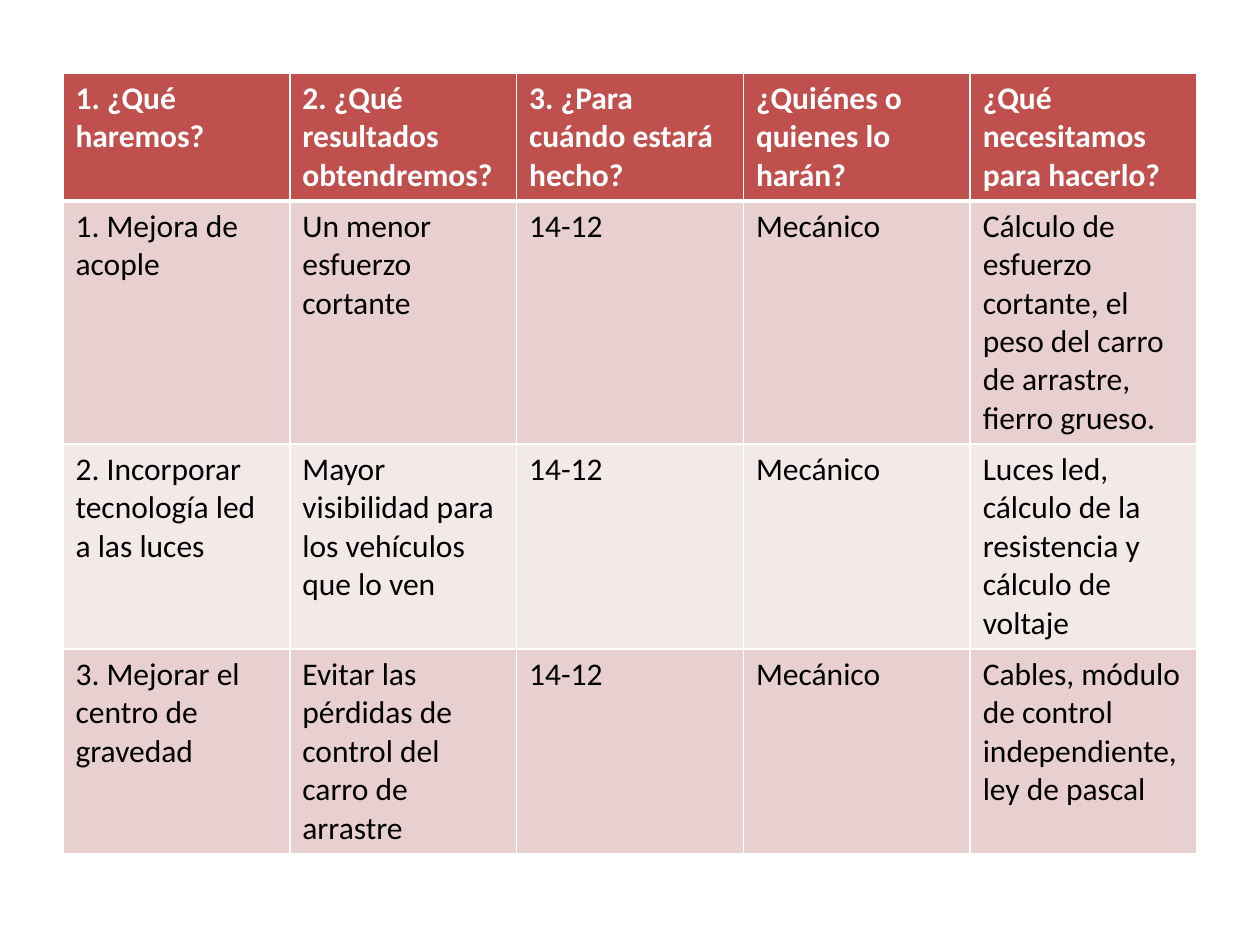
from dataclasses import dataclass

from lxml import etree
from pptx import Presentation
from pptx.dml.color import RGBColor
from pptx.oxml.ns import qn
from pptx.util import Cm, Pt

COLORS = {
    "white": "FFFFFF",
    "black": "000000",
    "header": "C0504D",
    "band_dark": "E8D0D0",
    "band_light": "F4E9E9",
}
FONT = "Calibri"
THIN, THICK = Pt(1), Pt(3)


@dataclass(frozen=True)
class RowStyle:
    fill: str
    text: str
    bold: bool = False
    top: int = THIN
    bottom: int = THIN


@dataclass(frozen=True)
class PlanRow:
    style: RowStyle
    texts: tuple[str, ...]


HEADER = RowStyle("header", "white", bold=True, bottom=THICK)
FIRST = RowStyle("band_dark", "black", top=THICK)
LIGHT = RowStyle("band_light", "black")
DARK = RowStyle("band_dark", "black")

PLAN = (
    PlanRow(HEADER, (
        "1. ¿Qué haremos?",
        "2. ¿Qué resultados obtendremos?",
        "3. ¿Para cuándo estará hecho?",
        "¿Quiénes o quienes lo harán?",
        "¿Qué necesitamos para hacerlo?",
    )),
    PlanRow(FIRST, (
        "1. Mejora de acople",
        "Un menor esfuerzo cortante",
        "14-12",
        "Mecánico",
        "Cálculo de esfuerzo cortante, el peso del carro de arrastre, fierro grueso.",
    )),
    PlanRow(LIGHT, (
        "2. Incorporar tecnología led a las luces",
        "Mayor visibilidad para los vehículos que lo ven",
        "14-12",
        "Mecánico",
        "Luces led, cálculo de la resistencia y cálculo de voltaje",
    )),
    PlanRow(DARK, (
        "3. Mejorar el centro de gravedad",
        "Evitar las pérdidas de control del carro de arrastre",
        "14-12",
        "Mecánico",
        "Cables, módulo de control independiente, ley de pascal",
    )),
)


def set_borders(cell, style: RowStyle) -> None:
    tc_pr = cell._tc.get_or_add_tcPr()
    widths = {"a:lnL": THIN, "a:lnR": THIN, "a:lnT": style.top, "a:lnB": style.bottom}
    for tag, width in widths.items():
        ln = etree.SubElement(tc_pr, qn(tag), w=str(int(width)))
        fill = etree.SubElement(ln, qn("a:solidFill"))
        etree.SubElement(fill, qn("a:srgbClr"), val=COLORS["white"])


def fill_cell(cell, text: str, style: RowStyle) -> None:
    set_borders(cell, style)
    cell.fill.solid()
    cell.fill.fore_color.rgb = RGBColor.from_string(COLORS[style.fill])
    r = cell.text_frame.paragraphs[0].add_run()
    r.text = text
    r.font.name = FONT
    r.font.size = Pt(18)
    r.font.bold = style.bold
    r.font.color.rgb = RGBColor.from_string(COLORS[style.text])


def add_plan(slide, plan: tuple[PlanRow, ...]) -> None:
    frame = slide.shapes.add_table(
        len(plan), len(plan[0].texts), Cm(1.27), Cm(1.47), Cm(22.86), Cm(15.49)
    )
    table = frame.table
    for i, row in enumerate(plan):
        table.rows[i].height = Cm(2.16)
        for j, text in enumerate(row.texts):
            fill_cell(table.cell(i, j), text, row.style)
    frame.height = Cm(15.49)


def main() -> None:
    prs = Presentation()
    prs.slide_width, prs.slide_height = Cm(25.4), Cm(19.05)
    add_plan(prs.slides.add_slide(prs.slide_layouts[6]), PLAN)
    prs.save("out.pptx")


if __name__ == "__main__":
    main()
